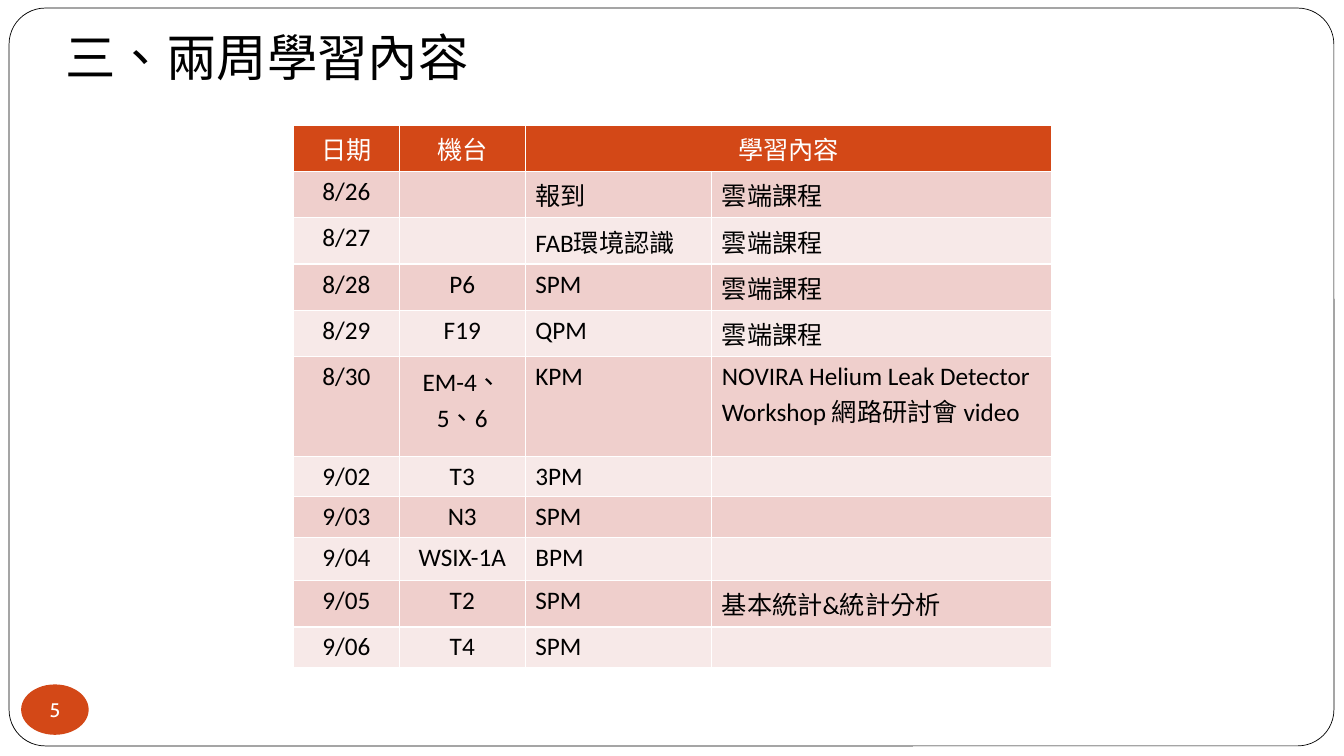
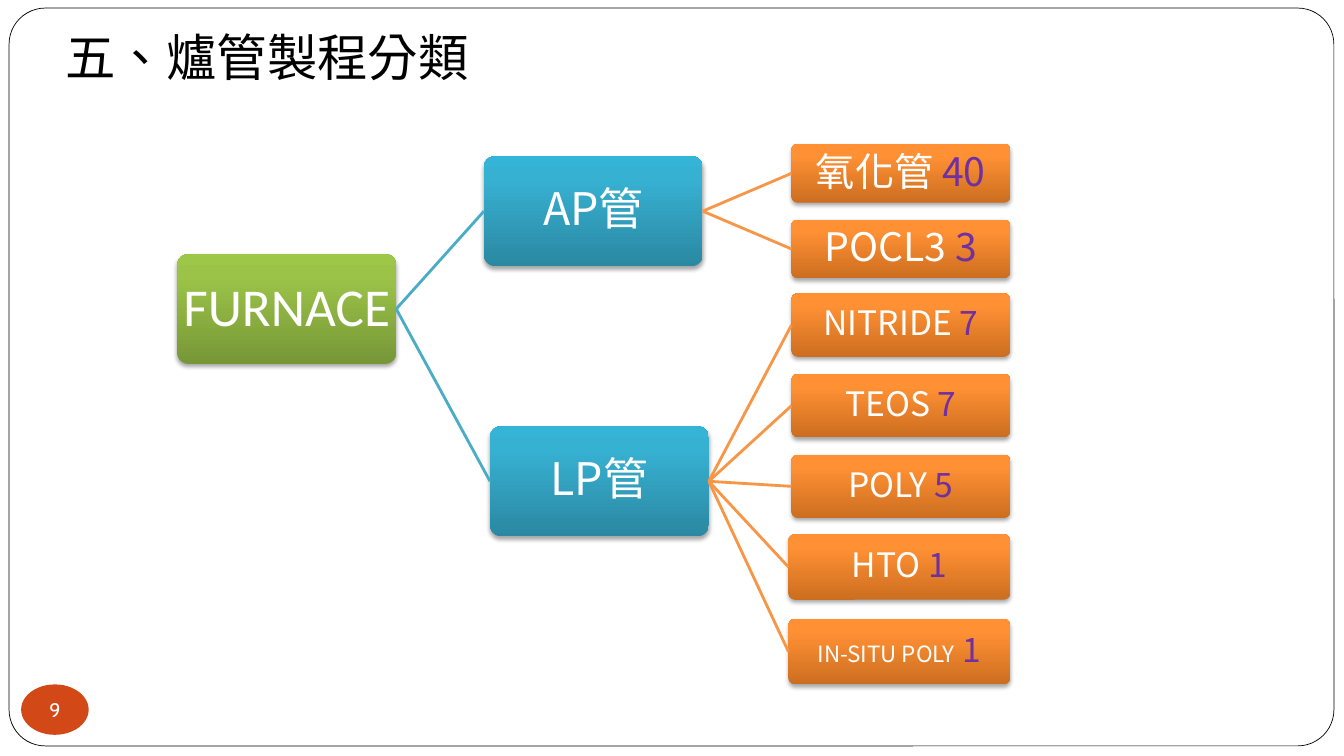
from copy import deepcopy
from dataclasses import dataclass

from lxml import etree
from pptx import Presentation
from pptx import util as u
from pptx.dml.color import RGBColor
from pptx.enum import lang, shapes, text
from pptx.oxml.ns import qn

PX = 9144


@dataclass(frozen=True)
class Theme:
    ink: str = "000000"
    paper: str = "FFFFFF"
    accent: str = "D34817"
    bands: tuple = ("EFCFCC", "F7E9E8")
    count: str = "7030A0"
    root: tuple = ("779737", "9BC348", "9DC746")
    branch: tuple = ("2A88A2", "37B1D2", "34B4D6")
    leaf: tuple = ("CC6E20", "FF9034", "FF9136")
    branch_link: str = "4BACC6"
    leaf_link: str = "F79646"
    body_font: str = "Calibri"
    badge_font: str = "Cabin"
    cjk_font: str = "Noto Sans CJK SC"
    title_size: int = 36
    table_size: int = 18
    badge_size: int = 14
    root_size: int = 38
    branch_size: int = 32


THEME = Theme()

COLUMNS = (105, 125, 185, 337)
HEADER = ("日期", "機台", "學習內容", "")
SCHEDULE = (
    ("8/26", "", "報到", "雲端課程"),
    ("8/27", "", "FAB環境認識", "雲端課程"),
    ("8/28", "P6", "SPM", "雲端課程"),
    ("8/29", "F19", "QPM", "雲端課程"),
    ("8/30", "EM-4、5、6", "KPM", "NOVIRA Helium Leak Detector Workshop 網路研討會 video"),
    ("9/02", "T3", "3PM", ""),
    ("9/03", "N3", "SPM", ""),
    ("9/04", "WSIX-1A", "BPM", ""),
    ("9/05", "T2", "SPM", "基本統計&統計分析"),
    ("9/06", "T4", "SPM", ""),
)
ROW_HEIGHTS = (46, 46, 46, 46, 46, 99, 40, 40, 43, 46, 40)

NODE_WIDTH, NODE_HEIGHT, LEAF_RIGHT = 217, 109, 1002
BRANCHES = {"AP管": (480, 155), "LP管": (486, 423)}
LEAF_STACKS = (
    ("AP管", 785, 143, 58, 75, (("氧化管", 28, "40", 28), ("POCL3", 28, "3", 28))),
    ("LP管", 785, 291, 63, 80, (("NITRIDE", 24, "7", 24), ("TEOS", 24, "7", 24), ("POLY", 24, "5", 24))),
    ("LP管", 782, 530, 65, 84, (("HTO", 24, "1", 24), ("IN-SITU POLY", 16, "1", 24))),
)


def px(*lengths):
    return [u.Emu(length * PX) for length in lengths]


def rgb(color):
    return RGBColor.from_string(color)


def apply(target, values):
    for name, value in values.items():
        setattr(target, name, value)


def write(frame, spans, font, **paragraph_format):
    para = frame.paragraphs[0]
    apply(para, paragraph_format)
    for words, size, color in spans:
        span = para.add_run()
        span.text = words
        apply(span.font, {"name": font, "size": u.Pt(size),
                          "language_id": lang.MSO_LANGUAGE_ID.TRADITIONAL_CHINESE})
        span.font.color.rgb = rgb(color)
        east_asian = etree.SubElement(span.font._element, qn("a:ea"))
        east_asian.set("typeface", THEME.cjk_font)


def set_insets(frame, inset):
    sides = ("left", "top", "right", "bottom")
    apply(frame, {f"margin_{side}": px(inset)[0] for side in sides})


def add_panel(page, kind, bounds, fill=None, corner=None):
    panel = page.shapes.add_shape(kind, *px(*bounds))
    panel.shadow.inherit = False
    panel.line.fill.background()
    if fill:
        panel.fill.solid()
        panel.fill.fore_color.rgb = rgb(fill)
    if corner is not None:
        panel.adjustments[0] = corner
    return panel


def add_page(deck, title, number):
    page = deck.slides.add_slide(deck.slide_layouts[6])
    frame = add_panel(page, shapes.MSO_SHAPE.ROUNDED_RECTANGLE, (9, 8, 1314, 732), THEME.paper, 0.049)
    frame.line.color.rgb = rgb(THEME.ink)
    frame.line.width = u.Pt(0.5)

    badge = add_panel(page, shapes.MSO_SHAPE.OVAL, (21, 679, 67, 50), THEME.accent)
    set_insets(badge.text_frame, 0)
    apply(badge.text_frame, {"word_wrap": False, "vertical_anchor": text.MSO_ANCHOR.MIDDLE})
    write(badge.text_frame, [(number, THEME.badge_size, THEME.paper)], THEME.badge_font,
          alignment=text.PP_ALIGN.CENTER)

    box = page.shapes.add_textbox(*px(55, 21, 435, 71))
    apply(box.text_frame, {"word_wrap": True, "auto_size": text.MSO_AUTO_SIZE.SHAPE_TO_FIT_TEXT})
    write(box.text_frame, [(title, THEME.title_size, THEME.ink)], THEME.body_font)
    return page


def set_borders(cell):
    properties = cell._tc.get_or_add_tcPr()
    for place, tag in enumerate(("a:lnL", "a:lnR", "a:lnT", "a:lnB")):
        line = etree.Element(qn(tag), w=str(u.Pt(1)))
        fill = etree.SubElement(line, qn("a:solidFill"))
        etree.SubElement(fill, qn("a:srgbClr"), val=THEME.paper)
        properties.insert(place, line)


def fill_cell(cell, words, row, column):
    header = row == 0
    cell.fill.solid()
    cell.fill.fore_color.rgb = rgb(THEME.accent if header else THEME.bands[(row - 1) % 2])
    set_borders(cell)
    if words:
        centred = header or column < 2
        write(cell.text_frame, [(words, THEME.table_size, THEME.paper if header else THEME.ink)],
              THEME.body_font, alignment=text.PP_ALIGN.CENTER if centred else text.PP_ALIGN.LEFT)


def add_schedule(page):
    rows = (HEADER, *SCHEDULE)
    bounds = px(291, 124, sum(COLUMNS), sum(ROW_HEIGHTS))
    table = page.shapes.add_table(len(rows), len(COLUMNS), *bounds).table
    table.horz_banding = False
    for column, width in zip(table.columns, px(*COLUMNS)):
        column.width = width
    for row, height in zip(table.rows, px(*ROW_HEIGHTS)):
        row.height = height
    for row, entries in enumerate(rows):
        for column, words in enumerate(entries):
            fill_cell(table.cell(row, column), words, row, column)
    table.cell(0, 2).merge(table.cell(0, 3))


def set_gradient(shape, colors):
    shape.fill.gradient()
    shape.fill.gradient_angle = 90
    stops = shape._element.spPr.find(".//" + qn("a:gsLst"))
    stops.append(deepcopy(stops[0]))
    for stop, color, position in zip(shape.fill.gradient_stops, colors, (0, 0.8, 1)):
        stop.color.rgb = rgb(color)
        stop.position = position


def set_shadow(shape):
    effects = shape._element.spPr.find(qn("a:effectLst"))
    shadow = etree.SubElement(effects, qn("a:outerShdw"), blurRad="40000", dist="23000",
                              dir="5400000", rotWithShape="0")
    color = etree.SubElement(shadow, qn("a:srgbClr"), val=THEME.ink)
    etree.SubElement(color, qn("a:alpha"), val="35000")


def add_node(page, bounds, colors, spans, font):
    node = add_panel(page, shapes.MSO_SHAPE.ROUNDED_RECTANGLE, bounds, corner=0.1)
    set_gradient(node, colors)
    set_shadow(node)
    set_insets(node.text_frame, 0)
    apply(node.text_frame, {"word_wrap": True, "vertical_anchor": text.MSO_ANCHOR.MIDDLE})
    write(node.text_frame, spans, font, alignment=text.PP_ALIGN.CENTER, line_spacing=0.9)
    return node


def link(page, parent, child, color):
    line = page.shapes.add_connector(shapes.MSO_CONNECTOR.STRAIGHT, 0, 0, 0, 0)
    line.begin_connect(parent, 3)
    line.end_connect(child, 1)
    line.line.color.rgb = rgb(color)
    line.line.width = u.Pt(2)
    etree.SubElement(line._element.spPr, qn("a:effectLst"))


def add_tree(page):
    root = add_node(page, (176, 252, NODE_WIDTH, NODE_HEIGHT), THEME.root,
                    [("FURNACE", THEME.root_size, THEME.paper)], THEME.body_font)
    branches = {}
    for name, (left, top) in BRANCHES.items():
        branches[name] = add_node(page, (left, top, NODE_WIDTH, NODE_HEIGHT), THEME.branch,
                                  [(name, THEME.branch_size, THEME.paper)], THEME.cjk_font)
        link(page, root, branches[name], THEME.branch_link)
    for name, left, top, height, pitch, leaves in LEAF_STACKS:
        for index, (label, label_size, count, count_size) in enumerate(leaves):
            spans = [(label, label_size, THEME.paper), (f" {count}", count_size, THEME.count)]
            bounds = (left, top + index * pitch, LEAF_RIGHT - left, height)
            leaf = add_node(page, bounds, THEME.leaf, spans, THEME.cjk_font)
            link(page, branches[name], leaf, THEME.leaf_link)


def main():
    deck = Presentation()
    deck.slide_width, deck.slide_height = px(1333, 750)
    add_schedule(add_page(deck, "三、兩周學習內容", "5"))
    add_tree(add_page(deck, "五、爐管製程分類", "9"))
    deck.save("out.pptx")


if __name__ == "__main__":
    main()
